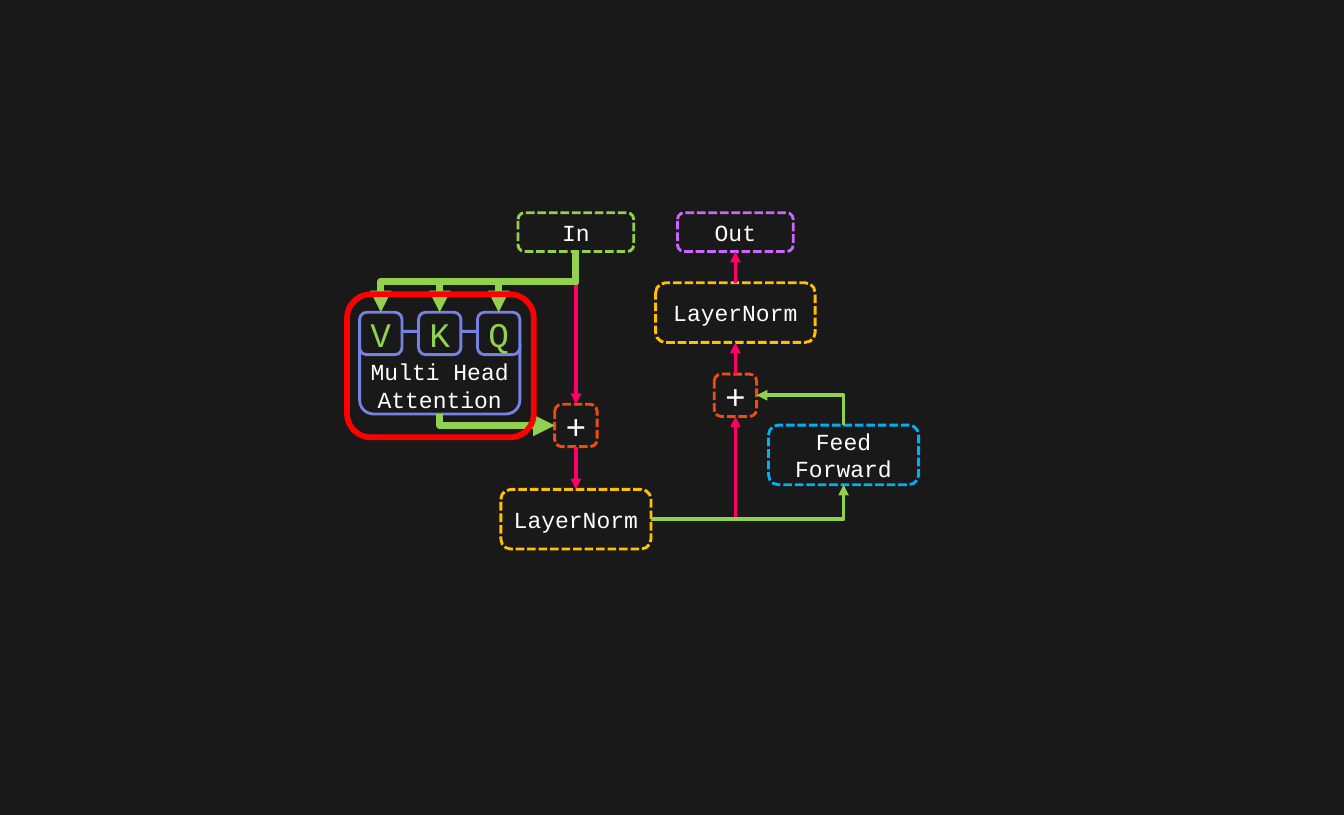
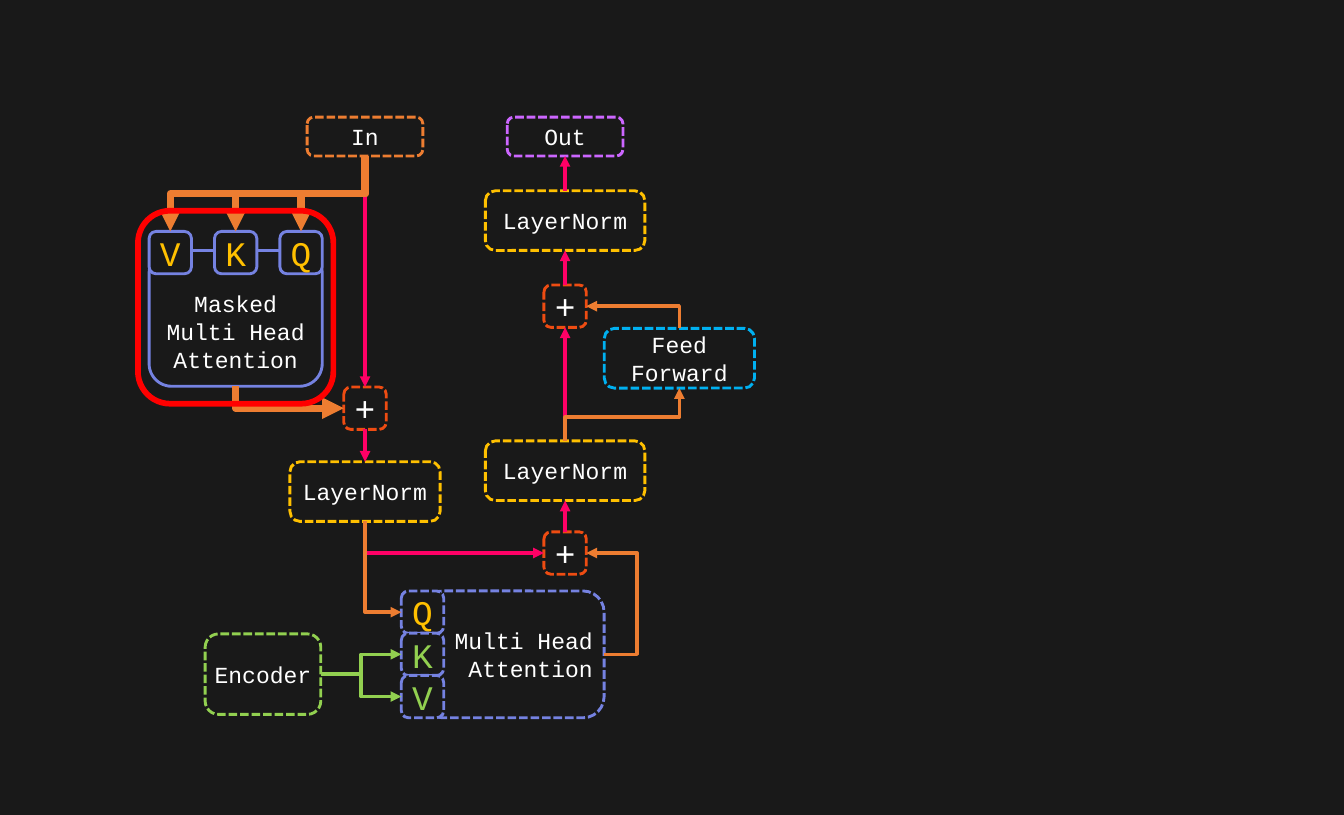
from pptx import Presentation
from pptx.dml.color import RGBColor
from pptx.enum.dml import MSO_LINE
from pptx.enum.shapes import MSO_CONNECTOR as CONNECTOR, MSO_SHAPE as SHAPE
from pptx.enum.text import MSO_ANCHOR as ANCHOR, PP_ALIGN as ALIGN
from pptx.oxml.ns import qn
from pptx.util import Pt
from lxml.etree import SubElement

FONT = "Courier New"
BACKGROUND = "191919"
WHITE = "FFFFFF"
GREEN = "92D050"
ORANGE = "ED7D31"
PURPLE = "CC66FF"
PINK = "FF0066"
VIOLET = "7582E1"
BLUE = "00B0F0"
VERMILION = "EE4C12"
YELLOW = "FFC000"
RED = "FF0000"

TOP, LEFT, BOTTOM, RIGHT = range(4)
CELL = 59
BLOCK_HEIGHT = 83
LINE_HEIGHT = 36


def rgb(value):
    """Turn a hex string into a colour."""
    return RGBColor.from_string(value)


def write_text(shape, text, size=32, color=WHITE, align=ALIGN.CENTER, lowered=0):
    """Write one centred paragraph, lowered by an extra top inset."""
    frame = shape.text_frame
    frame.word_wrap = True
    frame.vertical_anchor = ANCHOR.MIDDLE
    frame.margin_top = Pt(3.6 + lowered)
    paragraph = frame.paragraphs[0]
    paragraph.alignment = align
    run = paragraph.add_run()
    run.text = text
    run.font.name = FONT
    run.font.size = Pt(size)
    run.font.color.rgb = rgb(color)


def add_box(slide, center, extent, outline, text="", weight=4, dashed=True,
            filled=False, **text_format):
    """Add a rounded box around a centre point."""
    (x, y), (width, height) = center, extent
    shape = slide.shapes.add_shape(
        SHAPE.ROUNDED_RECTANGLE, Pt(x - width / 2), Pt(y - height / 2),
        Pt(width), Pt(height))
    shape.shadow.inherit = False
    if filled:
        shape.fill.solid()
        shape.fill.fore_color.rgb = rgb(BACKGROUND)
    else:
        shape.fill.background()
    shape.line.color.rgb = rgb(outline)
    shape.line.width = Pt(weight)
    if dashed:
        shape.line.dash_style = MSO_LINE.SQUARE_DOT
    if text:
        write_text(shape, text, **text_format)
    return shape


def add_terminal(slide, text, center, outline, height=54):
    """Add an input or output box."""
    return add_box(slide, center, (161, height), outline, text)


def add_norm(slide, center, width=222):
    """Add a layer normalisation block."""
    return add_box(slide, center, (width, BLOCK_HEIGHT), YELLOW, "LayerNorm")


def add_plus(slide, center):
    """Add a residual sum."""
    return add_box(slide, center, (CELL, CELL), VERMILION, "+", size=48)


def add_heads(slide, letters, colors, start, step, dashed=False):
    """Add the row or column of attention inputs."""
    (x, y), (step_x, step_y) = start, step
    return [
        add_box(slide, (x + index * step_x, y + index * step_y), (CELL, CELL),
                VIOLET, letter, dashed=dashed, filled=True, size=48, color=color)
        for index, (letter, color) in enumerate(zip(letters, colors))]


def bend(connector, start_side, end_side, middle):
    """Give a connector right angles that leave and enter at the given sides."""
    x, y = connector.begin_x, connector.begin_y
    delta_x, delta_y = connector.end_x - x, connector.end_y - y
    center_x, center_y = x + delta_x // 2, y + delta_y // 2
    vertical = start_side in (TOP, BOTTOM)
    parallel = start_side % 2 == end_side % 2
    along, across = (delta_y, -delta_x) if vertical else (delta_x, delta_y)
    connector.left = center_x - abs(along) // 2
    connector.top = center_y - abs(across) // 2
    connector.width, connector.height = abs(along), abs(across)
    properties = connector._element.spPr
    transform = properties.get_or_add_xfrm()
    transform.rot = 90 if vertical else 0
    transform.flipH, transform.flipV = along < 0, across < 0
    geometry = properties.find(qn("a:prstGeom"))
    geometry.set("prst", "bentConnector3" if parallel else "bentConnector2")
    if parallel:
        guides = geometry.find(qn("a:avLst"))
        if guides is None:
            guides = SubElement(geometry, qn("a:avLst"))
        SubElement(guides, qn("a:gd"), name="adj1", fmla=f"val {round(middle * 100000)}")


def add_arrow(slide, start, start_side, end, end_side, color, weight=5,
              bent=False, middle=0.5):
    """Join the sides of two boxes with an arrow."""
    kind = CONNECTOR.ELBOW if bent else CONNECTOR.STRAIGHT
    connector = slide.shapes.add_connector(kind, 0, 0, 0, 0)
    connector.begin_connect(start, start_side)
    connector.end_connect(end, end_side)
    if bent:
        bend(connector, start_side, end_side, middle)
    connector.line.color.rgb = rgb(color)
    connector.line.width = Pt(weight)
    properties = connector._element.spPr
    SubElement(properties.find(qn("a:ln")), qn("a:tailEnd"), type="triangle")
    SubElement(properties, qn("a:effectLst"))


def add_attention_stage(slide, text, color, head_color, column, rows, attention,
                        heads_y, ring):
    """Add the highlighted self-attention stage and return its LayerNorm."""
    source_y, plus_y, norm_y = rows
    center, extent = attention
    source = add_terminal(slide, "In", (column, source_y), color)
    block = add_box(slide, center, extent, VIOLET, text, dashed=False, lowered=LINE_HEIGHT)
    plus = add_plus(slide, (column, plus_y))
    norm = add_norm(slide, (column, norm_y), 209)
    step = (extent[0] - CELL) / 2
    heads = add_heads(slide, "VKQ", [head_color] * 3,
                      (center[0] - step, heads_y), (step, 0))
    add_arrow(slide, source, BOTTOM, plus, TOP, PINK)
    add_arrow(slide, plus, BOTTOM, norm, TOP, PINK)
    for head in heads:
        add_arrow(slide, source, BOTTOM, head, TOP, color, 10, bent=True)
    add_arrow(slide, block, BOTTOM, plus, LEFT, color, 10, bent=True)
    add_box(slide, *ring, RED, weight=8, dashed=False)
    return norm


def add_feed_forward_stage(slide, color, column, rows, feed_center, norm,
                           norm_side, middle=0.5):
    """Add the feed-forward stage that runs from a LayerNorm up to the output."""
    output_y, norm_y, plus_y = rows
    output = add_terminal(slide, "Out", (column, output_y), PURPLE)
    last_norm = add_norm(slide, (column, norm_y))
    plus = add_plus(slide, (column, plus_y))
    feed = add_box(slide, feed_center, (209, BLOCK_HEIGHT), BLUE, "Feed Forward")
    add_arrow(slide, norm, norm_side, plus, BOTTOM, PINK, bent=norm_side == RIGHT)
    add_arrow(slide, norm, norm_side, feed, BOTTOM, color, bent=True, middle=middle)
    add_arrow(slide, feed, TOP, plus, RIGHT, color, bent=True)
    add_arrow(slide, plus, TOP, last_norm, BOTTOM, PINK)
    add_arrow(slide, last_norm, TOP, output, BOTTOM, PINK)


def add_cross_attention_stage(slide, column, norm):
    """Add the attention over the encoder and return its LayerNorm."""
    block = add_box(slide, (714, 910.5), (253.5, 176.5), VIOLET,
                    "Multi Head Attention", align=ALIGN.RIGHT)
    query, key, value = add_heads(slide, "QKV", [YELLOW, GREEN, GREEN],
                                  (588, 851.8), (0, 58.7), dashed=True)
    encoder = add_terminal(slide, "Encoder", (366, 938), GREEN, height=112)
    plus = add_plus(slide, (column, 769.5))
    next_norm = add_norm(slide, (column, 655))
    add_arrow(slide, norm, BOTTOM, plus, LEFT, PINK, bent=True)
    add_arrow(slide, norm, BOTTOM, query, LEFT, ORANGE, bent=True)
    for head in (key, value):
        add_arrow(slide, encoder, RIGHT, head, LEFT, GREEN, bent=True)
    add_arrow(slide, block, RIGHT, plus, RIGHT, ORANGE, bent=True, middle=-1.86)
    add_arrow(slide, plus, TOP, next_norm, BOTTOM, PINK)
    return next_norm


def add_encoder_slide(presentation):
    """Add the encoder diagram."""
    slide = presentation.slides.add_slide(presentation.slide_layouts[6])
    norm = add_attention_stage(
        slide, "Multi Head Attention", GREEN, GREEN, 801.5, (323, 592, 722.5),
        ((612, 518.5), (223, 115)), 464, ((613, 509), (260, 199)))
    add_feed_forward_stage(slide, GREEN, 1023.5, (323, 435, 550), (1174, 633),
                           norm, RIGHT)


def add_decoder_slide(presentation):
    """Add the decoder diagram."""
    slide = presentation.slides.add_slide(presentation.slide_layouts[6])
    column = 786.5
    norm = add_attention_stage(
        slide, "Masked Multi Head Attention", ORANGE, YELLOW, 508, (190, 568, 684),
        ((328, 443), (241, 189)), 351.5, ((328, 427.5), (272, 268.5)))
    norm = add_cross_attention_stage(slide, column, norm)
    add_feed_forward_stage(slide, ORANGE, column, (190, 307, 426), (945.5, 498.5),
                           norm, TOP, middle=0.45)


def main():
    """Build and save the presentation."""
    presentation = Presentation()
    presentation.slide_width, presentation.slide_height = Pt(1870.5), Pt(1134)
    background = presentation.slide_master.background.fill
    background.solid()
    background.fore_color.rgb = rgb(BACKGROUND)
    add_encoder_slide(presentation)
    add_decoder_slide(presentation)
    presentation.save("out.pptx")


if __name__ == "__main__":
    main()
